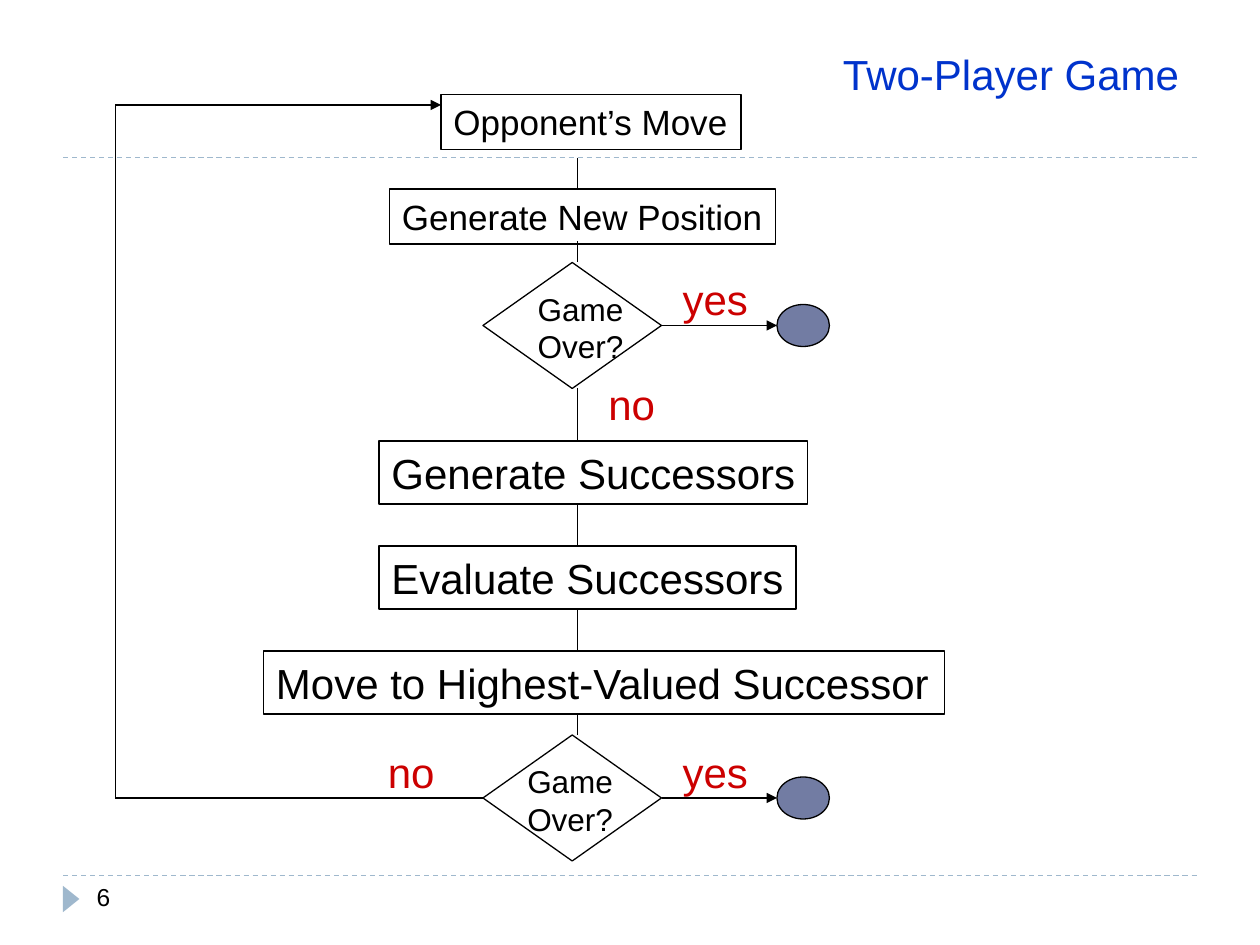
"""Build the two-player game flowchart slide."""
from dataclasses import dataclass

from lxml import etree
from pptx import Presentation
from pptx.dml.color import RGBColor
from pptx.enum.dml import MSO_LINE
from pptx.enum.shapes import MSO_CONNECTOR, MSO_SHAPE
from pptx.enum.text import MSO_ANCHOR, MSO_AUTO_SIZE, PP_ALIGN
from pptx.oxml.ns import qn
from pptx.util import Pt

STRAIGHT = MSO_CONNECTOR.STRAIGHT
TRIANGLE, DIAMOND, OVAL = MSO_SHAPE.ISOSCELES_TRIANGLE, MSO_SHAPE.DIAMOND, MSO_SHAPE.OVAL
DASH = MSO_LINE.DASH
LEFT, TOP = PP_ALIGN.LEFT, MSO_ANCHOR.TOP
GROW = MSO_AUTO_SIZE.SHAPE_TO_FIT_TEXT
LEFT_SIDE, RIGHT_SIDE = 1, 3


@dataclass(frozen=True)
class Theme:
    font: str = "Arial"
    ink: RGBColor = RGBColor(0, 0, 0)
    title: RGBColor = RGBColor(0x00, 0x33, 0xCC)
    answer: RGBColor = RGBColor(0xCC, 0x00, 0x00)
    end: RGBColor = RGBColor(0x72, 0x7C, 0xA3)
    accent: RGBColor = RGBColor(0x9F, 0xB8, 0xCD)
    large: int = 24
    medium: int = 20
    small: int = 18
    page: int = 14
    line: float = 0.75


theme = Theme()
prs = Presentation()
prs.slide_width, prs.slide_height = Pt(720), Pt(540)
slide = prs.slides.add_slide(prs.slide_layouts[5])
shapes = slide.shapes


def write(box, text, size, color):
    frame = box.text_frame
    frame.text = text
    frame.word_wrap = False
    frame.auto_size = GROW
    frame.vertical_anchor = TOP
    for paragraph in frame.paragraphs:
        paragraph.alignment = LEFT
        paragraph.font.name = theme.font
        paragraph.font.size = Pt(size)
        paragraph.font.color.rgb = color


def connect(x1, y1, x2, y2, color=theme.ink, arrow=False):
    link = shapes.add_connector(STRAIGHT, Pt(x1), Pt(y1), Pt(x2), Pt(y2))
    link.line.color.rgb = color
    link.line.width = Pt(theme.line)
    if arrow:
        etree.SubElement(link.line._get_or_add_ln(), qn("a:tailEnd"), type="triangle")
    etree.SubElement(link._element.spPr, qn("a:effectLst"))
    return link


title = shapes.title
title.left, title.top, title.width, title.height = Pt(474.5), Pt(24), Pt(207), Pt(36)
write(title, "Two-Player Game", theme.large, theme.title)

for rule_y in (500.4, 90):
    rule = connect(36, rule_y, 684, rule_y, theme.accent)
    rule.line.dash_style = DASH

page_marker = shapes.add_shape(TRIANGLE, Pt(33.1), Pt(509), Pt(15.1), Pt(9.4))
page_marker.rotation = 90
page_marker.shadow.inherit = False
page_marker.fill.solid()
page_marker.fill.fore_color.rgb = theme.accent
page_marker.line.fill.background()
page_number = shapes.add_textbox(Pt(48.2), Pt(500.4), Pt(156), Pt(28.8))
write(page_number, "6", theme.page, theme.ink)
page_number.text_frame.word_wrap = True
page_number.text_frame.auto_size = MSO_AUTO_SIZE.NONE

steps = [
    ("Opponent’s Move", 252, 54, 171.5, 31.5, theme.medium),
    ("Generate New Position", 222.6, 108, 220.4, 31.5, theme.medium),
    ("Generate Successors", 216.6, 252, 245, 36, theme.large),
    ("Evaluate Successors", 216.6, 312, 238.4, 36, theme.large),
    ("Move to Highest-Valued Successor", 150.6, 372, 389, 36, theme.large),
]
for text, left, top, width, height, size in steps:
    step = shapes.add_textbox(Pt(left), Pt(top), Pt(width), Pt(height))
    step.line.color.rgb = theme.ink
    step.line.width = Pt(theme.line)
    write(step, text, size, theme.ink)

for y1, y2 in [(90, 108), (138, 150), (222, 252), (288, 312), (348, 372), (408, 420)]:
    connect(330, y1, 330, y2)

for middle, question_left in [(186, 300.2), (456, 294.2)]:
    decision = shapes.add_shape(DIAMOND, Pt(276), Pt(middle - 36), Pt(102), Pt(72))
    decision.fill.background()
    end = shapes.add_shape(OVAL, Pt(444), Pt(middle - 12), Pt(30), Pt(24))
    end.fill.solid()
    end.fill.fore_color.rgb = theme.end
    for node in (decision, end):
        node.shadow.inherit = False
        node.line.color.rgb = theme.ink
        node.line.width = Pt(theme.line)
    question = shapes.add_textbox(Pt(question_left), Pt(middle - 24), Pt(63.4), Pt(50.4))
    write(question, "Game\nOver?", theme.small, theme.ink)
    exit_arrow = connect(378, middle, 444, middle, arrow=True)
    exit_arrow.begin_connect(decision, RIGHT_SIDE)

loop_start = connect(276, 456, 66, 456)
loop_start.begin_connect(decision, LEFT_SIDE)
connect(66, 456, 66, 60)
connect(66, 60, 252, 60, arrow=True)

answers = [("no", 340.6, 213, 41), ("no", 214.6, 423, 41),
           ("yes", 383, 423, 52), ("yes", 383, 153, 52)]
for text, left, top, width in answers:
    answer = shapes.add_textbox(Pt(left), Pt(top), Pt(width), Pt(36))
    write(answer, text, theme.large, theme.answer)

prs.save("out.pptx")
